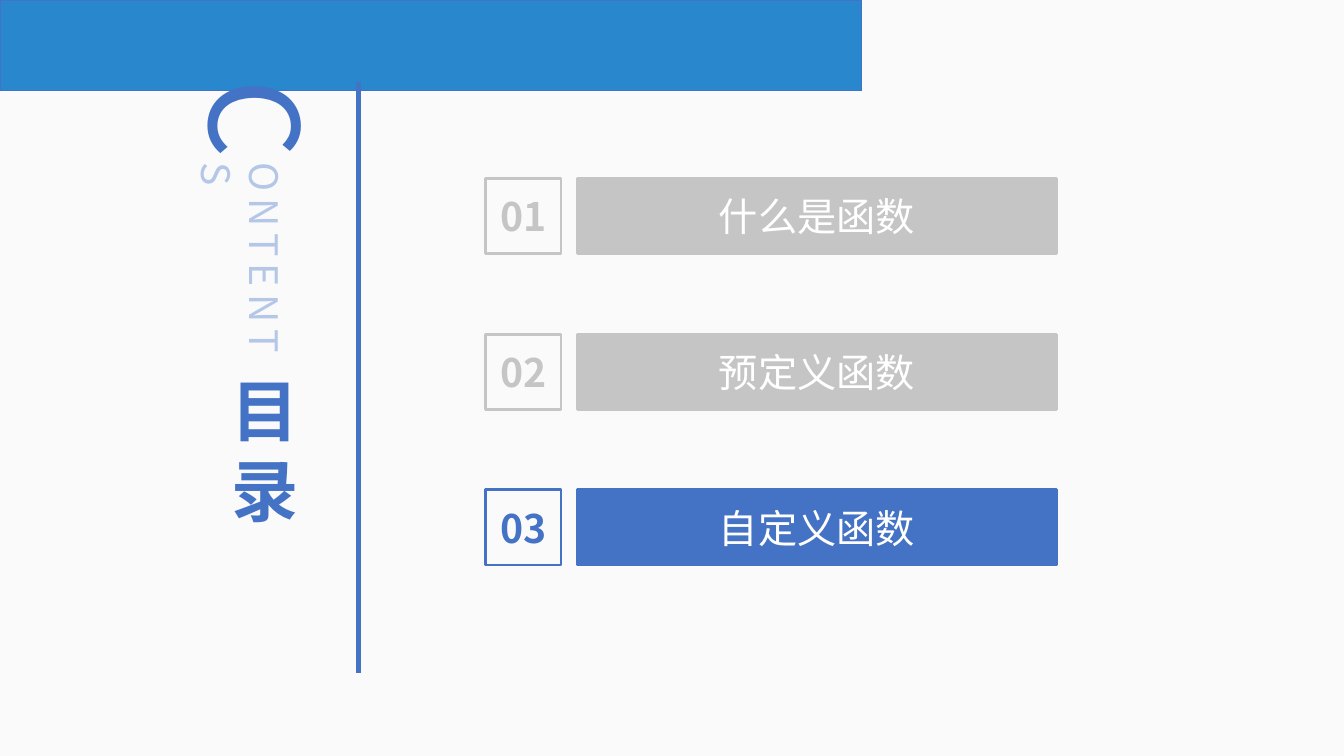
from pptx import Presentation
from pptx.dml.color import RGBColor
from pptx.enum.shapes import MSO_CONNECTOR as Connector, MSO_SHAPE as Shape
from pptx.enum.text import MSO_ANCHOR as Anchor, PP_ALIGN as Align
from pptx.oxml.ns import qn
from pptx.util import Cm, Pt
from lxml import etree

BACKGROUND = RGBColor(0xFA, 0xFA, 0xFA)
BANNER = RGBColor(0x29, 0x87, 0xCD)
ACCENT = RGBColor(0x44, 0x72, 0xC4)
PALE = RGBColor(0xB4, 0xC7, 0xE7)
MUTED = RGBColor(0xC5, 0xC5, 0xC5)
WHITE = RGBColor(0xFF, 0xFF, 0xFF)

HEADING_FONT = "Noto Sans CJK SC"
BODY_FONT = "Arial"

CHAPTERS = [
    ("01", "什么是函数", MUTED),
    ("02", "预定义函数", MUTED),
    ("03", "自定义函数", ACCENT),
]
CHAPTER_TOP = 4.5
CHAPTER_PITCH = 3.92
CHAPTER_HEIGHT = 1.9


def write(frame, text, size=28, color=WHITE, font=HEADING_FONT, bold=False,
          align=None, anchor=Anchor.MIDDLE, spacing=None):
    frame.word_wrap = True
    frame.vertical_anchor = anchor
    for index, line in enumerate(text.split("\n")):
        para = frame.add_paragraph() if index else frame.paragraphs[0]
        para.alignment = align
        span = para.add_run()
        span.text = line
        span.font.size = Pt(size)
        span.font.bold = bold
        span.font.color.rgb = color
        span.font.name = font
        properties = span.font._element
        east_asian = etree.SubElement(properties, qn("a:ea"))
        east_asian.set("typeface", HEADING_FONT)
        if spacing:
            properties.set("spc", str(spacing * 100))


class ContentsPage:
    def __init__(self, deck):
        self.page = deck.slides.add_slide(deck.slide_layouts[6])
        self.page.background.fill.solid()
        self.page.background.fill.fore_color.rgb = BACKGROUND

    def rectangle(self, left, top, width, height, line, fill=None, weight=2):
        box = self.page.shapes.add_shape(
            Shape.RECTANGLE, Cm(left), Cm(top), Cm(width), Cm(height))
        box.shadow.inherit = False
        if fill is None:
            box.fill.background()
        else:
            box.fill.solid()
            box.fill.fore_color.rgb = fill
        box.line.color.rgb = line
        box.line.width = Pt(weight)
        return box

    def label(self, left, top, width, height, text, vertical=False, **style):
        box = self.page.shapes.add_textbox(
            Cm(left), Cm(top), Cm(width), Cm(height))
        write(box.text_frame, text, **style)
        if vertical:
            box.element.txBody.bodyPr.set("vert", "eaVert")

    def divider(self, x, top, bottom):
        line = self.page.shapes.add_connector(
            Connector.STRAIGHT, Cm(x), Cm(top), Cm(x), Cm(bottom))
        line.line.color.rgb = ACCENT
        line.line.width = Pt(3.25)
        etree.SubElement(line.element.spPr, qn("a:effectLst"))

    def chapter(self, top, number, title, color):
        badge = self.rectangle(12.24, top, CHAPTER_HEIGHT, CHAPTER_HEIGHT, color)
        frame = badge.text_frame
        frame.margin_left = frame.margin_right = 0
        frame.margin_top = frame.margin_bottom = 0
        write(frame, number, color=color, bold=True, align=Align.CENTER)
        bar = self.rectangle(14.55, top, 12.07, CHAPTER_HEIGHT, color, fill=color)
        write(bar.text_frame, title, font=BODY_FONT, align=Align.CENTER)


def main():
    deck = Presentation()
    deck.slide_width = Cm(33.87)
    deck.slide_height = Cm(19.05)
    contents = ContentsPage(deck)
    contents.rectangle(0, 0, 21.72, 2.29, ACCENT, fill=BANNER, weight=1)
    for index, chapter in enumerate(CHAPTERS):
        contents.chapter(CHAPTER_TOP + index * CHAPTER_PITCH, *chapter)
    contents.divider(9.04, 2.06, 16.97)
    contents.label(5.05, 1.75, 2.92, 3.3, "C", vertical=True, size=88, color=ACCENT)
    contents.label(5.59, 9.25, 1.93, 4.17, "目\n录", size=48, color=ACCENT,
                   bold=True, align=Align.CENTER)
    contents.label(5.69, 3.84, 1.7, 5.74, "ONTENTS", vertical=True, color=PALE,
                   anchor=Anchor.TOP, spacing=5)
    deck.save("out.pptx")


if __name__ == "__main__":
    main()
